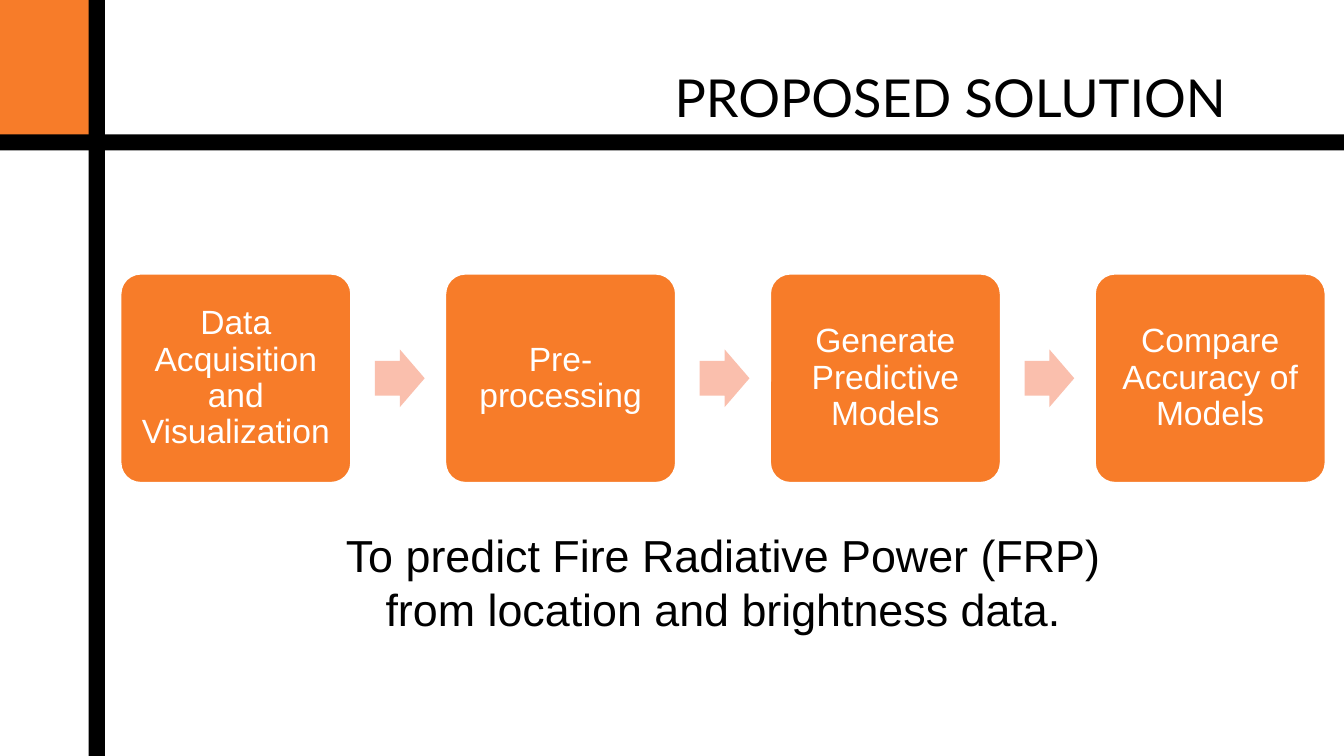
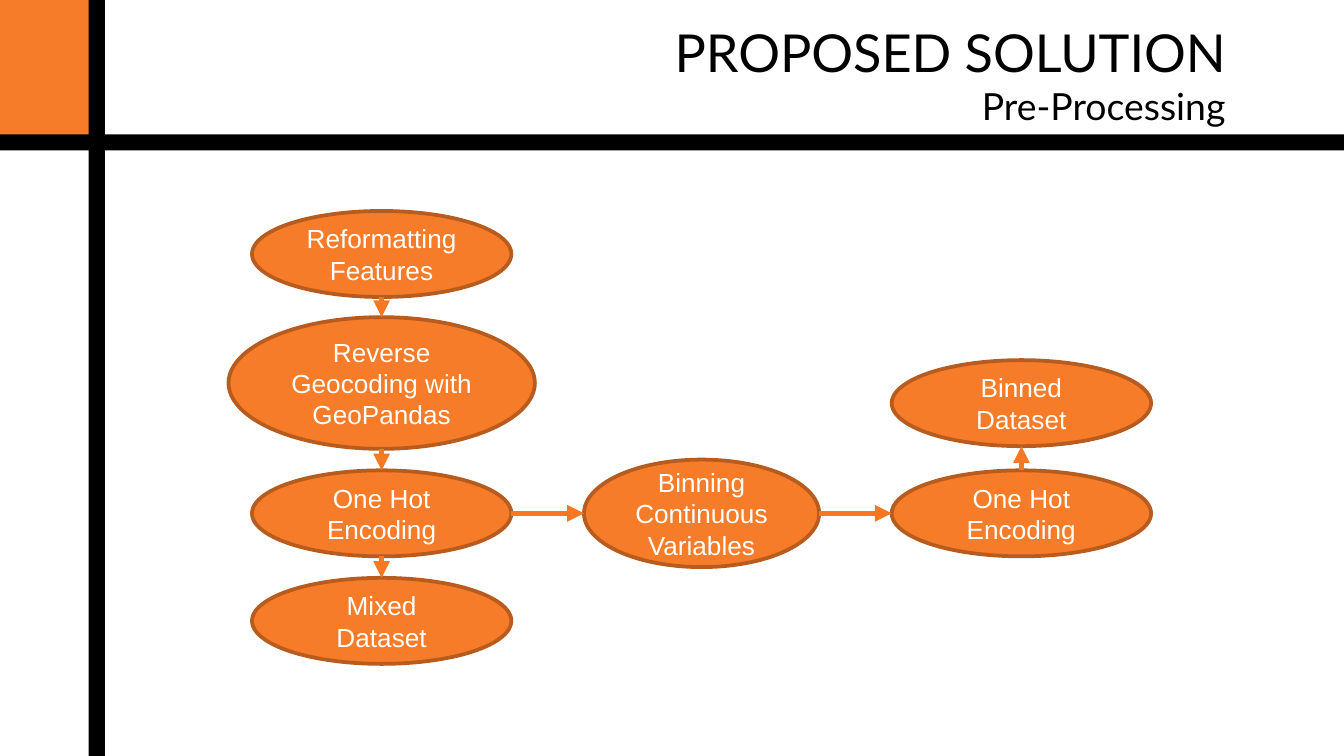
from lxml import etree
from pptx import Presentation
from pptx.dml.color import RGBColor
from pptx.enum.shapes import MSO_CONNECTOR, MSO_SHAPE
from pptx.enum.text import MSO_ANCHOR, MSO_AUTO_SIZE, PP_ALIGN
from pptx.oxml.ns import qn
from pptx.util import Inches, Pt

RECT, ROUNDED = MSO_SHAPE.RECTANGLE, MSO_SHAPE.ROUNDED_RECTANGLE
ARROW, OVAL = MSO_SHAPE.RIGHT_ARROW, MSO_SHAPE.OVAL
STRAIGHT = MSO_CONNECTOR.STRAIGHT
MIDDLE, NO_FIT = MSO_ANCHOR.MIDDLE, MSO_AUTO_SIZE.NONE
CENTER, RIGHT = PP_ALIGN.CENTER, PP_ALIGN.RIGHT
ORANGE, PINK, BROWN = "F77C29", "FABFAD", "B75C1E"
LINE, BLACK, WHITE = "F77823", "000000", "FFFFFF"
WIDTH = 10
HEIGHT = WIDTH * 9 / 16


def rgb(color):
    return RGBColor.from_string(color)


def add_box(s, kind, x, y, w, h, fill, line=None, text="", size=18):
    sp = s.shapes.add_shape(kind, Inches(x), Inches(y), Inches(w), Inches(h))
    sp.shadow.inherit = False
    sp.fill.solid()
    sp.fill.fore_color.rgb = rgb(fill)
    if line:
        sp.line.color.rgb = rgb(line)
        sp.line.width = Pt(2)
    else:
        sp.line.fill.background()
    if text:
        tf = sp.text_frame
        tf.word_wrap = True
        tf.vertical_anchor = MIDDLE
        p = tf.paragraphs[0]
        p.text = text
        p.alignment = CENTER
        p.font.name = "Arial"
        p.font.size = Pt(size)
        p.font.color.rgb = rgb(WHITE)
    return sp


prs = Presentation()
prs.slide_width = Inches(WIDTH)
prs.slide_height = Inches(HEIGHT)

titles = [
    (0.59, 0.26, [("PROPOSED SOLUTION", 28)]),
    (0.23, 0.64, [("PROPOSED SOLUTION", 28), ("Pre-Processing", 20)]),
]
for top, height, lines in titles:
    s = prs.slides.add_slide(prs.slide_layouts[5])
    add_box(s, RECT, 0, 0, 0.78, 1.08, ORANGE)
    add_box(s, RECT, 0, 1, WIDTH, 0.12, BLACK)
    add_box(s, RECT, 0.66, 0, 0.12, HEIGHT, BLACK)
    title = s.shapes.title
    title.left, title.top = Inches(0.91), Inches(top)
    title.width, title.height = Inches(8.31), Inches(height)
    tf = title.text_frame
    tf.text = "\n".join(text for text, size in lines)
    tf.word_wrap = True
    tf.auto_size = NO_FIT
    tf.vertical_anchor = MIDDLE
    tf.margin_left = tf.margin_right = Inches(0.1)
    tf.margin_top = tf.margin_bottom = Inches(0.1)
    for p, (text, size) in zip(tf.paragraphs, lines):
        p.alignment = RIGHT
        p.font.name = "Lato"
        p.font.size = Pt(size)
        p.font.color.rgb = rgb(BLACK)

solution, processing = prs.slides

steps = [
    "Data Acquisition and Visualization",
    "Pre-processing",
    "Generate Predictive Models",
    "Compare Accuracy of Models",
]
pitch = (8.14 - 0.89) / (len(steps) - 1)
for i, step in enumerate(steps):
    x = 0.89 + i * pitch
    sp = add_box(solution, ROUNDED, x, 2.03, 1.73, 1.57, ORANGE, WHITE, step)
    sp.adjustments[0] = 0.1
    tf = sp.text_frame
    tf.margin_left = tf.margin_right = Inches(0.07)
    tf.margin_top = tf.margin_bottom = Inches(0.07)
    tf.paragraphs[0].line_spacing = 0.9
    if i < len(steps) - 1:
        sp = add_box(solution, ARROW, x + 1.9, 2.6, 0.37, 0.43, PINK)
        sp.adjustments[0] = 0.6

goal = solution.shapes.add_textbox(Inches(2.28), Inches(3.88), Inches(6.2), Inches(0.91))
tf = goal.text_frame
tf.word_wrap = True
p = tf.paragraphs[0]
p.text = "To predict Fire Radiative Power (FRP) from location and brightness data."
p.alignment = CENTER
p.font.name = "Arial"
p.font.size = Pt(24)
p.font.color.rgb = rgb(BLACK)

nodes = {
    "reformat": ("Reformatting Features", 2.84, 1.89, 1.93, 0.64),
    "geocode": ("Reverse Geocoding with GeoPandas", 2.84, 2.85, 2.28, 0.98),
    "encode": ("One Hot Encoding", 2.84, 3.82, 1.93, 0.64),
    "mixed": ("Mixed Dataset", 2.84, 4.62, 1.93, 0.64),
    "binning": ("Binning Continuous Variables", 5.22, 3.82, 1.75, 0.8),
    "encode_bins": ("One Hot Encoding", 7.6, 3.82, 1.93, 0.64),
    "binned": ("Binned Dataset", 7.6, 3, 1.93, 0.64),
}
for text, cx, cy, w, h in nodes.values():
    add_box(processing, OVAL, cx - w / 2, cy - h / 2, w, h, ORANGE, BROWN, text, 14)

links = [
    ("reformat", "geocode", 0, 1),
    ("geocode", "encode", 0, 1),
    ("encode", "mixed", 0, 1),
    ("encode", "binning", 1, 0),
    ("binning", "encode_bins", 1, 0),
    ("encode_bins", "binned", 0, -1),
]
for start, end, dx, dy in links:
    text, x1, y1, w1, h1 = nodes[start]
    text, x2, y2, w2, h2 = nodes[end]
    link = processing.shapes.add_connector(
        STRAIGHT,
        Inches(x1 + dx * w1 / 2), Inches(y1 + dy * h1 / 2),
        Inches(x2 - dx * w2 / 2), Inches(y2 - dy * h2 / 2),
    )
    link.line.color.rgb = rgb(LINE)
    link.line.width = Pt(3)
    ln = link.line._get_or_add_ln()
    etree.SubElement(ln, qn("a:tailEnd"), type="triangle")
    etree.SubElement(link._element.spPr, qn("a:effectLst"))

prs.save("out.pptx")
